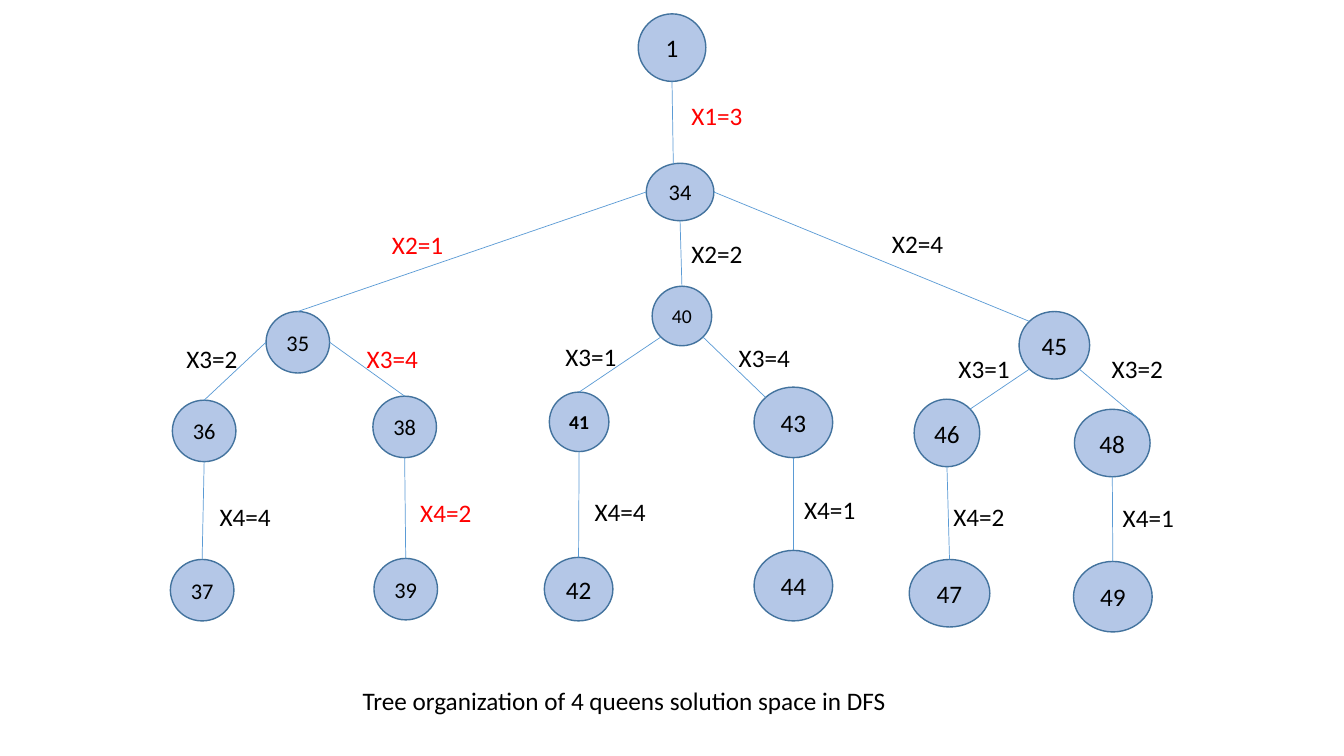
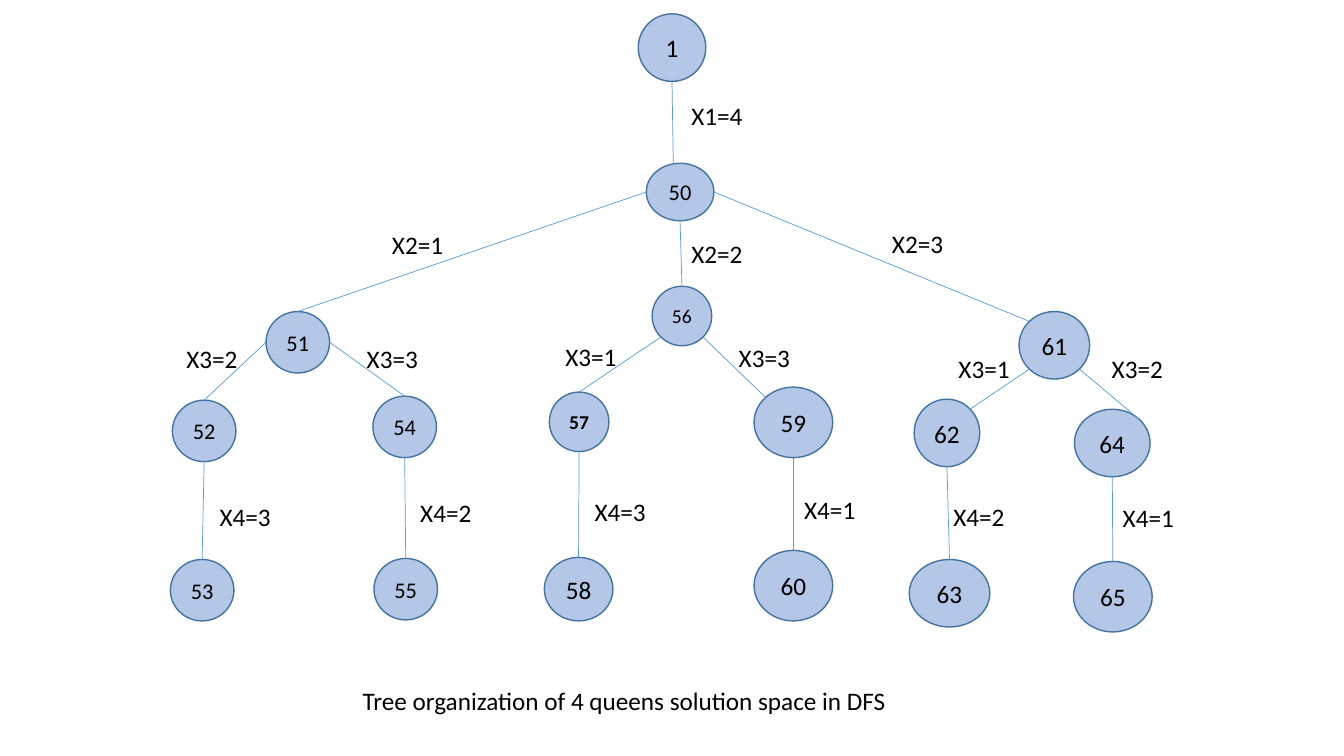
"""Draw the depth-first 4 queens search trees that start with X1=3 and X1=4."""
from itertools import permutations
from math import cos, pi, sin

from lxml import etree
from pptx import Presentation
from pptx.dml.color import RGBColor
from pptx.enum.shapes import MSO_CONNECTOR, MSO_SHAPE
from pptx.enum.text import MSO_ANCHOR, MSO_AUTO_SIZE, PP_ALIGN
from pptx.oxml.ns import qn
from pptx.util import Inches, Pt

COLORS = {"node": "B4C7E7", "outline": "43739E", "edge": "5B9BD5",
          "text": "000000", "solution": "FF0000"}
FONT = "Calibri"
CAPTION = "Tree organization of 4 queens solution space in DFS"
SOLUTION = (3, 1, 4, 2)
TOP, TOP_LEFT, LEFT, BOTTOM_LEFT, BOTTOM, BOTTOM_RIGHT, RIGHT, TOP_RIGHT = range(8)

SMALL = (4.43, 7.87, 14)
MID = (4.73, 8.13, 16)
WIDE = (5.85, 9.33, 18)
ROOT = (50, 6.3, (5.03, 8.93, 18))
BOLD_SLOT = 7
FIRST_EDGE_END = (50.1, 21.7)

# Slots run depth first: centre, (width, height, points), label corner, parent site, own site.
SLOTS = [
    (50.6, 25.4, (5.03, 7.6, 16), (50.7, 12.67), BOTTOM, TOP),
    (22.16, 45.27, MID, (28.43, 29.73), LEFT, TOP),
    (15.19, 57, MID, (13.13, 44.8), LEFT, TOP),
    (15.04, 78.07, MID, (15.6, 65.6), BOTTOM, TOP),
    (30.11, 56.47, MID, (26.55, 44.8), RIGHT, TOP),
    (30.19, 77.93, MID, (30.53, 65.07), BOTTOM, TOP),
    (50.74, 41.8, SMALL, (50.7, 30.93), BOTTOM, TOP),
    (43.09, 55.8, SMALL, (41.33, 44.53), BOTTOM_LEFT, TOP),
    (43.05, 77.93, (5.1, 8.4, 18), (43.5, 64.93), BOTTOM, TOP),
    (59.03, 55.87, WIDE, (54.23, 44.67), BOTTOM_RIGHT, TOP_LEFT),
    (59.03, 77.47, WIDE, (59.1, 64.67), BOTTOM, TOP),
    (78.45, 45.67, (5.25, 8.93, 18), (65.63, 29.6), RIGHT, TOP_LEFT),
    (70.46, 57.27, (4.88, 8.93, 18), (70.58, 46.13), BOTTOM_LEFT, TOP_RIGHT),
    (70.65, 78.47, (6, 8.93, 18), (70.2, 65.6), BOTTOM, TOP),
    (82.76, 58.6, (5.63, 8.93, 18), (81.98, 46.13), BOTTOM_RIGHT, TOP_RIGHT),
    (82.8, 78.93, WIDE, (82.8, 65.73), BOTTOM, TOP),
]

prs = Presentation()
prs.slide_width, prs.slide_height = Inches(13.33), Inches(7.5)
X, Y = prs.slide_width / 100, prs.slide_height / 100


def add_text(s, text, left, top, width, color="text", size=18, oval_height=None, bold=None):
    """Add a label, or a numbered oval when a height is given; lengths are percentages."""
    box = [int(left * X), int(top * Y), int(width * X), int((oval_height or 5.33) * Y)]
    if oval_height:
        sp = s.shapes.add_shape(MSO_SHAPE.OVAL, *box)
        sp.shadow.inherit = False
        sp.fill.solid()
        sp.fill.fore_color.rgb = RGBColor.from_string(COLORS["node"])
        sp.line.color.rgb = RGBColor.from_string(COLORS["outline"])
        sp.line.width = Pt(1)
    else:
        sp = s.shapes.add_textbox(*box)
    tf = sp.text_frame
    tf.text = text
    tf.word_wrap = False
    p = tf.paragraphs[0]
    if oval_height:
        tf.margin_left = tf.margin_right = 0
        tf.vertical_anchor = MSO_ANCHOR.MIDDLE
        p.alignment = PP_ALIGN.CENTER
    else:
        tf.auto_size = MSO_AUTO_SIZE.SHAPE_TO_FIT_TEXT
    r = p.runs[0]
    r.font.name, r.font.size, r.font.bold = FONT, Pt(size), bold
    r.font.color.rgb = RGBColor.from_string(COLORS[color])
    return sp


def site_point(sp, site):
    """Return a connection site of an oval; sites go counterclockwise from the top."""
    angle = site * pi / 4
    return (int(sp.left + sp.width / 2 * (1 - sin(angle))),
            int(sp.top + sp.height / 2 * (1 - cos(angle))))


for first, start in ((3, 34), (4, 50)):
    s = prs.slides.add_slide(prs.slide_layouts[6])
    rest = [value for value in range(1, 5) if value != first]
    paths = [(first, *perm)[:depth] for perm in permutations(rest) for depth in range(1, 5)]
    paths = list(dict.fromkeys(paths))

    nodes = {}
    for i, (path, slot) in enumerate(zip([()] + paths, [ROOT] + SLOTS)):
        cx, cy, (width, height, size) = slot[:3]
        number = start + i - 1 if path else 1
        nodes[path] = add_text(s, str(number), cx - width / 2, cy - height / 2, width, size=size,
                               oval_height=height, bold=True if i - 1 == BOLD_SLOT else None)

    for path, slot in zip(paths, SLOTS):
        color = "solution" if path == SOLUTION[:len(path)] else "text"
        add_text(s, f"X{len(path)}={path[-1]}", *slot[3], 5.4, color)
    add_text(s, CAPTION, 26.25, 90, 40.95)

    for path, (*_, parent_site, own_site) in zip(paths, SLOTS):
        parent, node = nodes[path[:-1]], nodes[path]
        begin, end = site_point(parent, parent_site), site_point(node, own_site)
        if len(path) == 1:
            end = [int(share * unit) for share, unit in zip(FIRST_EDGE_END, (X, Y))]
        edge = s.shapes.add_connector(MSO_CONNECTOR.STRAIGHT, *begin, *end)
        edge.line.color.rgb = RGBColor.from_string(COLORS["edge"])
        edge.line.width = Pt(0.5)
        etree.SubElement(edge._element.spPr, qn("a:effectLst"))
        edge.begin_connect(parent, 0)
        edge._element.find(".//" + qn("a:stCxn")).set("idx", str(parent_site))
        if len(path) > 1:
            edge.end_connect(node, 0)
            edge._element.find(".//" + qn("a:endCxn")).set("idx", str(own_site))
        edge.begin_x, edge.begin_y = begin
        edge.end_x, edge.end_y = end

prs.save("out.pptx")
